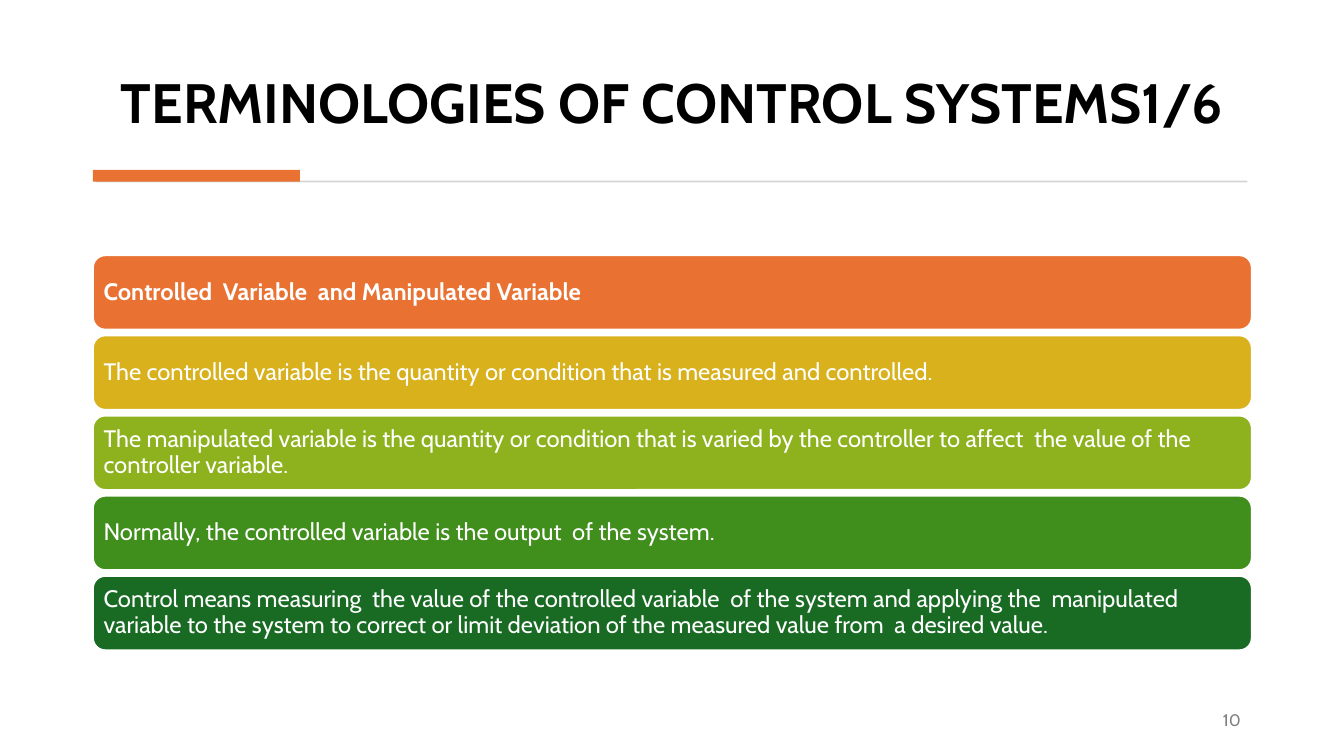
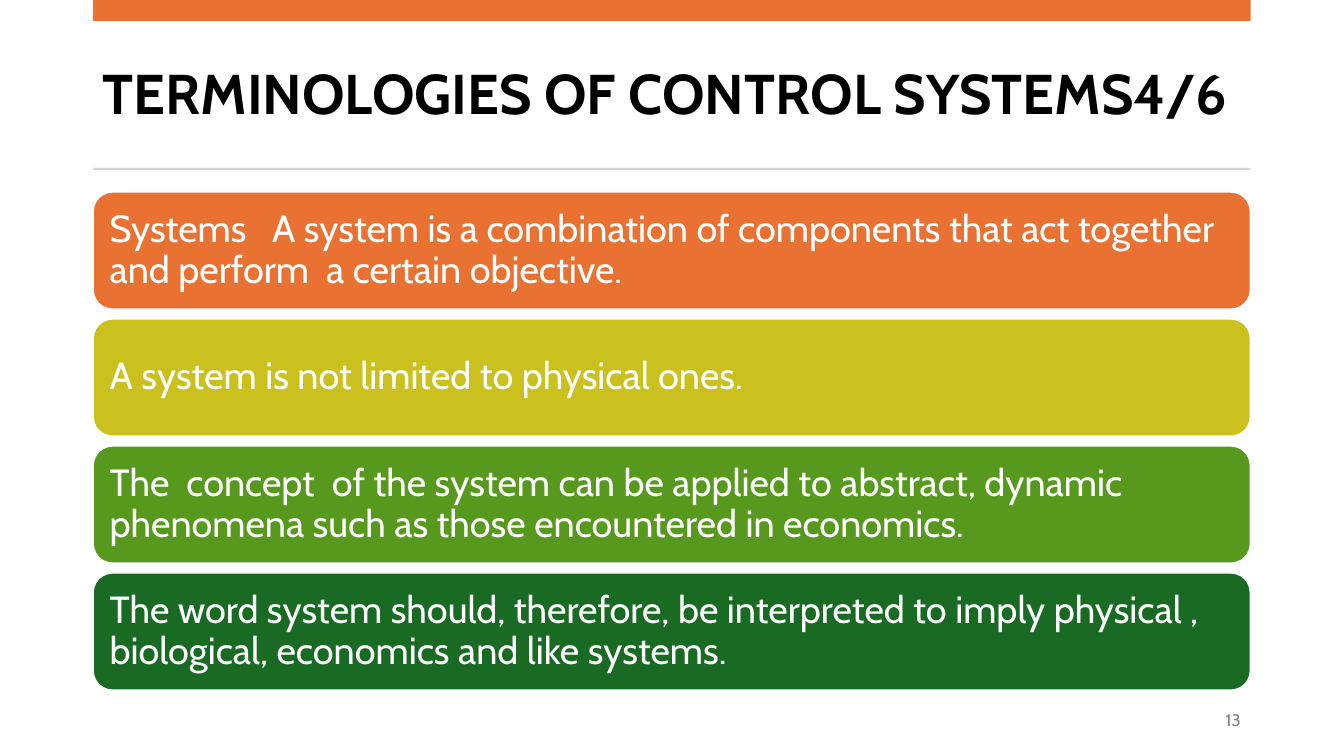
from dataclasses import dataclass

from pptx import Presentation
from pptx.dml.color import RGBColor
from pptx.enum.shapes import MSO_SHAPE
from pptx.enum.text import MSO_ANCHOR, PP_ALIGN
from pptx.util import Cm, Pt

RECTANGLE = MSO_SHAPE.RECTANGLE
ROUNDED = MSO_SHAPE.ROUNDED_RECTANGLE
LEFT, CENTER, RIGHT = PP_ALIGN.LEFT, PP_ALIGN.CENTER, PP_ALIGN.RIGHT
MIDDLE, BOTTOM = MSO_ANCHOR.MIDDLE, MSO_ANCHOR.BOTTOM
TITLE_ONLY = 5


@dataclass(frozen=True)
class Theme:
    font: str = "Cabin"
    title: str = "000000"
    accent: str = "E97132"
    rule: str = "D5D5D5"
    number: str = "808080"
    white: str = "FFFFFF"
    number_size: float = 12
    border_width: float = 1.5
    line_spacing: float = 0.9


@dataclass(frozen=True)
class Box:
    """A rectangle in centimetres."""
    left: float
    top: float
    width: float
    height: float

    def lengths(self):
        return Cm(self.left), Cm(self.top), Cm(self.width), Cm(self.height)


@dataclass(frozen=True)
class Card:
    text: str
    color: str
    bold: bool = False


@dataclass(frozen=True)
class CardStack:
    first: Box
    pitch: float
    inset: float
    text_size: float
    cards: tuple[Card, ...]


@dataclass(frozen=True)
class Page:
    title: str
    title_box: Box
    title_size: float
    title_align: PP_ALIGN
    title_anchor: MSO_ANCHOR
    rule: Box
    accent: Box
    number: int
    stack: CardStack


THEME = Theme()
NUMBER_BOX = Box(24.2, 17.65, 7.32, 1.02)

PAGES = (
    Page(
        title="TERMINOLOGIES OF CONTROL SYSTEMS1/6",
        title_box=Box(2.34, 0.71, 29.18, 2.82),
        title_size=39.6,
        title_align=CENTER,
        title_anchor=BOTTOM,
        rule=Box(2.41, 4.55, 29.03, 0.05),
        accent=Box(2.34, 4.28, 5.22, 0.3),
        number=10,
        stack=CardStack(Box(2.34, 6.43, 29.21, 1.88), 2.02, 0.18, 17, (
            Card("Controlled  Variable  and Manipulated Variable", "E97132", bold=True),
            Card("The controlled variable is the quantity or condition that is "
                 "measured and controlled.", "D8B11D"),
            Card("The manipulated variable is the quantity or condition that is "
                 "varied by the controller to affect  the value of the "
                 "controller variable.", "8EB21E"),
            Card("Normally, the controlled variable is the output  of the system.",
                 "408E1C"),
            Card("Control means measuring  the value of the controlled variable  "
                 "of the system and applying the  manipulated variable to the "
                 "system to correct or limit deviation of the measured value "
                 "from  a desired value.", "196B24"),
        )),
    ),
    Page(
        title="TERMINOLOGIES OF CONTROL SYSTEMS4/6",
        title_box=Box(2.34, 0.94, 29.18, 3),
        title_size=40,
        title_align=LEFT,
        title_anchor=MIDDLE,
        rule=Box(2.34, 4.23, 29.18, 0.05),
        accent=Box(2.34, 0, 29.18, 0.53),
        number=13,
        stack=CardStack(Box(2.34, 4.83, 29.18, 2.97), 3.2, 0.28, 27, (
            Card("Systems   A system is a combination of components that act "
                 "together and perform  a certain objective.", "E97132"),
            Card("A system is not limited to physical ones.", "CBC11E"),
            Card("The  concept  of the system can be applied to abstract, dynamic "
                 "phenomena such as those encountered in economics.", "56991D"),
            Card("The word system should, therefore, be interpreted to imply "
                 "physical , biological, economics and like systems.", "196B24"),
        )),
    ),
)


def write_text(shape, text: str, size: float, color: str, align: PP_ALIGN,
               anchor: MSO_ANCHOR = MIDDLE, bold: bool = False) -> None:
    frame = shape.text_frame
    frame.word_wrap = True
    frame.vertical_anchor = anchor
    frame.text = text
    paragraph = frame.paragraphs[0]
    paragraph.alignment = align
    paragraph.line_spacing = THEME.line_spacing
    font = paragraph.font
    font.name = THEME.font
    font.size = Pt(size)
    font.bold = bold
    font.color.rgb = RGBColor.from_string(color)


def add_filled(slide, kind: MSO_SHAPE, box: Box, color: str):
    shape = slide.shapes.add_shape(kind, *box.lengths())
    shape.shadow.inherit = False
    shape.fill.solid()
    shape.fill.fore_color.rgb = RGBColor.from_string(color)
    shape.line.fill.background()
    return shape


def add_title(slide, page: Page) -> None:
    title = slide.shapes.title
    title.left, title.top, title.width, title.height = page.title_box.lengths()
    write_text(title, page.title, page.title_size, THEME.title,
               page.title_align, page.title_anchor, bold=True)


def add_cards(slide, stack: CardStack) -> None:
    first = stack.first
    for index, card in enumerate(stack.cards):
        box = Box(first.left, first.top + index * stack.pitch, first.width, first.height)
        shape = add_filled(slide, ROUNDED, box, card.color)
        shape.line.color.rgb = RGBColor.from_string(THEME.white)
        shape.line.width = Pt(THEME.border_width)
        frame = shape.text_frame
        frame.margin_left = frame.margin_right = Cm(stack.inset)
        frame.margin_top = frame.margin_bottom = Cm(stack.inset)
        write_text(shape, card.text, stack.text_size, THEME.white, LEFT, bold=card.bold)


def add_page(presentation, page: Page) -> None:
    slide = presentation.slides.add_slide(presentation.slide_layouts[TITLE_ONLY])
    add_title(slide, page)
    add_filled(slide, RECTANGLE, page.rule, THEME.rule)
    add_filled(slide, RECTANGLE, page.accent, THEME.accent)
    number = slide.shapes.add_textbox(*NUMBER_BOX.lengths())
    write_text(number, str(page.number), THEME.number_size, THEME.number, RIGHT)
    add_cards(slide, page.stack)


def main() -> None:
    presentation = Presentation()
    presentation.slide_width = Cm(33.87)
    presentation.slide_height = Cm(19.05)
    for page in PAGES:
        add_page(presentation, page)
    presentation.save("out.pptx")


if __name__ == "__main__":
    main()
